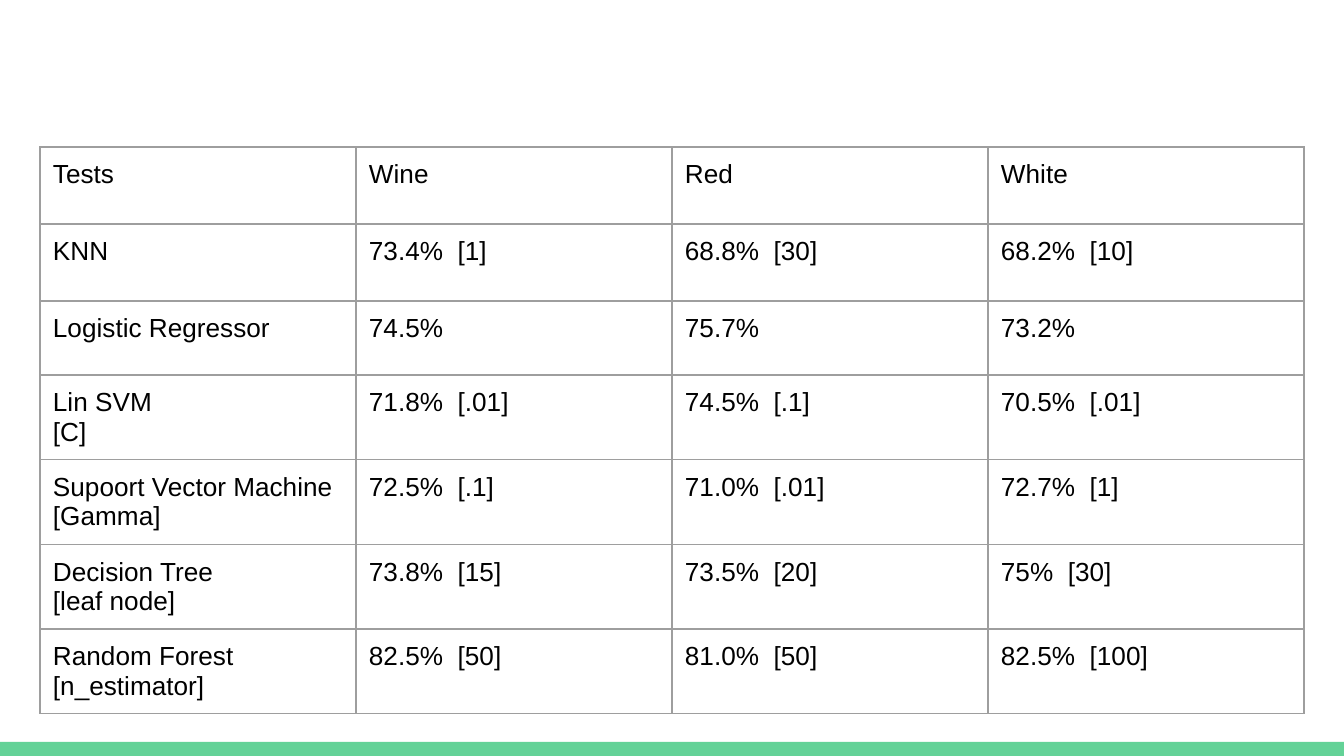
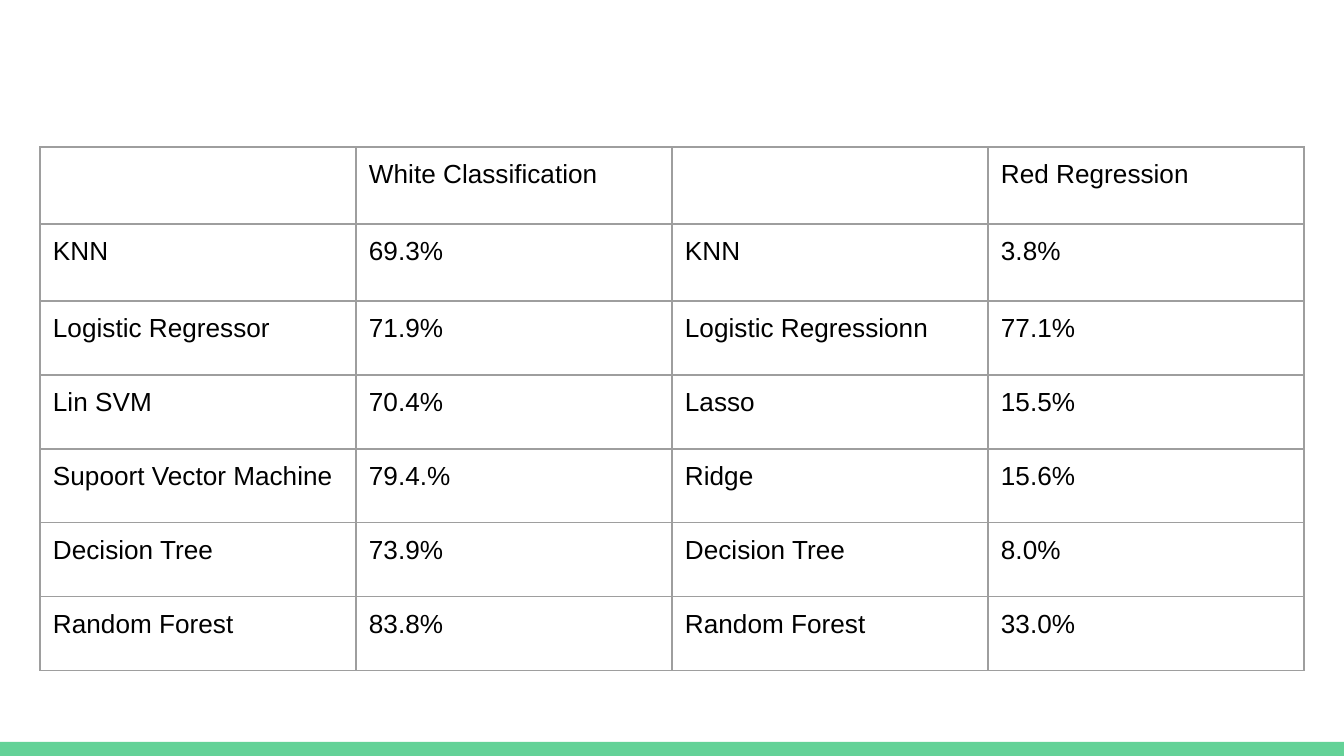
"""Build two slides of model score tables with a green foot band."""
import pptx
import pptx.dml.color
import pptx.enum.shapes
import pptx.oxml
import pptx.oxml.ns
import pptx.util

PX = 9144000 / 1344
WIDE, HIGH = 1344, 756
LEFT, TOP, COL, PAD = 40, 147, 316, 13
ROWS = [77, 77] + [74] * 5
BAND, GRID, INK = "63D297", "9E9E9E", "000000"

SCORES = [
    [
        ["Tests", "Wine", "Red", "White"],
        ["KNN", "73.4%  [1]", "68.8%  [30]", "68.2%  [10]"],
        ["Logistic Regressor", "74.5%", "75.7%", "73.2%"],
        ["Lin SVM\n[C]", "71.8%  [.01]", "74.5%  [.1]", "70.5%  [.01]"],
        ["Supoort Vector Machine\n[Gamma]", "72.5%  [.1]", "71.0%  [.01]", "72.7%  [1]"],
        ["Decision Tree\n[leaf node]", "73.8%  [15]", "73.5%  [20]", "75%  [30]"],
        ["Random Forest\n[n_estimator]", "82.5%  [50]", "81.0%  [50]", "82.5%  [100]"],
    ],
    [
        ["", "White Classification", "", "Red Regression"],
        ["KNN", "69.3%", "KNN", "3.8%"],
        ["Logistic Regressor", "71.9%", "Logistic Regressionn", "77.1%"],
        ["Lin SVM", "70.4%", "Lasso", "15.5%"],
        ["Supoort Vector Machine", "79.4.%", "Ridge", "15.6%"],
        ["Decision Tree", "73.9%", "Decision Tree", "8.0%"],
        ["Random Forest", "83.8%", "Random Forest", "33.0%"],
    ],
]


def px(*nums):
    return [pptx.util.Emu(round(num * PX)) for num in nums]


def paint(color, code):
    color.rgb = pptx.dml.color.RGBColor.from_string(code)


deck = pptx.Presentation()
deck.slide_width, deck.slide_height = px(WIDE, HIGH)

for score in SCORES:
    slide = deck.slides.add_slide(deck.slide_layouts.get_by_name("Blank"))
    band = slide.shapes.add_shape(
        pptx.enum.shapes.MSO_SHAPE.RECTANGLE, *px(0, 742, WIDE, 14)
    )
    band.shadow.inherit = False
    band.fill.solid()
    paint(band.fill.fore_color, BAND)
    band.line.fill.background()

    cols = len(score[0])
    table = slide.shapes.add_table(
        len(score), cols, *px(LEFT, TOP, COL * cols, sum(ROWS))
    ).table
    table.first_row = table.horz_banding = False
    for col in table.columns:
        col.width = px(COL)[0]
    for row, high, words in zip(table.rows, ROWS, score):
        row.height = px(high)[0]
        for cell, text in zip(row.cells, words):
            (cell.margin_left, cell.margin_top,
             cell.margin_right, cell.margin_bottom) = px(PAD, PAD, PAD, PAD)
            props = cell._tc.get_or_add_tcPr()
            for side in "LRTB":
                props.append(pptx.oxml.parse_xml(
                    f'<a:ln{side} {pptx.oxml.ns.nsdecls("a")} w="9525"><a:solidFill>'
                    f'<a:srgbClr val="{GRID}"/></a:solidFill></a:ln{side}>'
                ))
            cell.fill.background()
            frame = cell.text_frame
            for num, line in enumerate(text.split("\n") if text else []):
                para = frame.add_paragraph() if num else frame.paragraphs[0]
                run = para.add_run()
                run.text = line
                run.font.name = "Arial"
                run.font.size = pptx.util.Pt(14)
                paint(run.font.color, INK)

deck.save("out.pptx")
